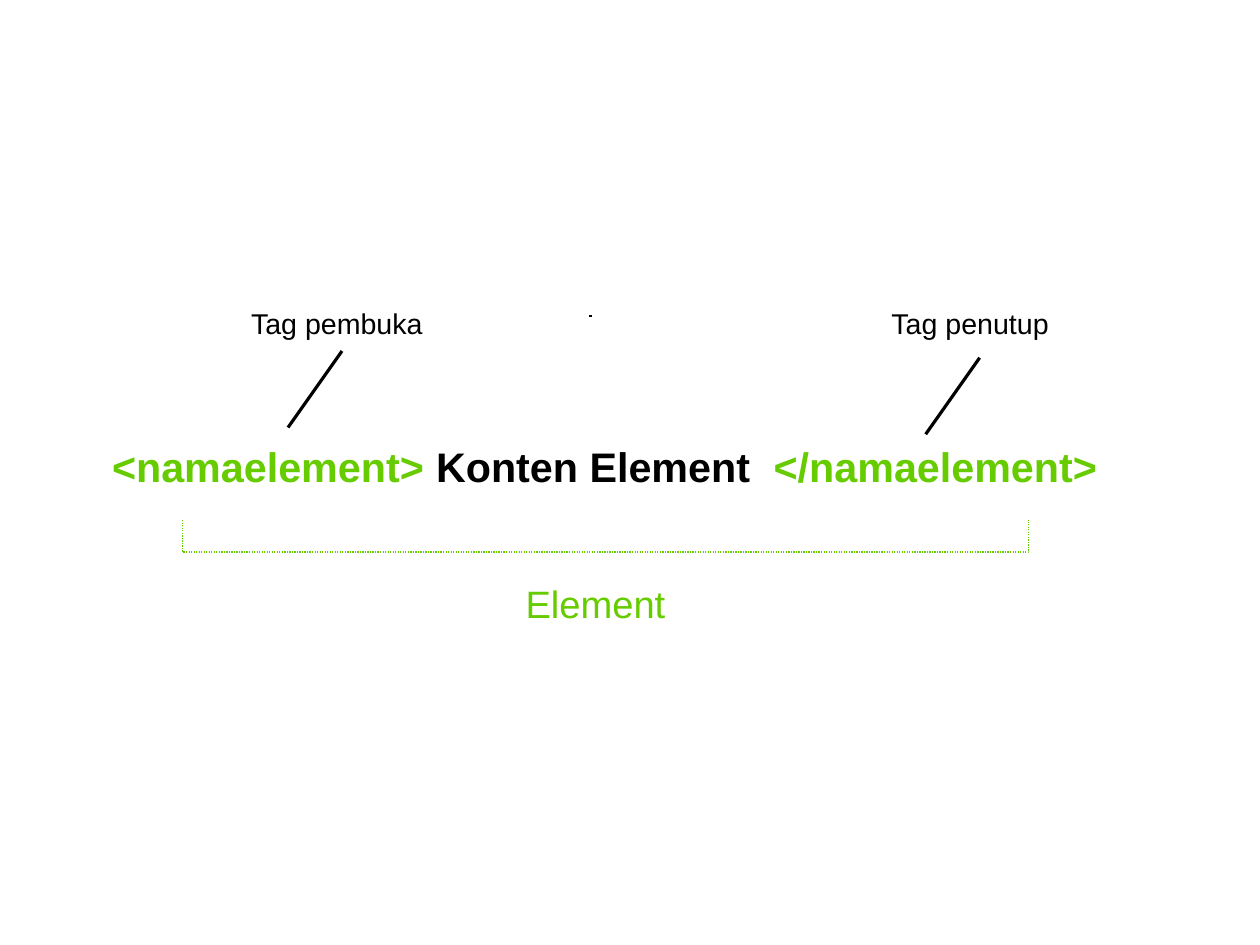
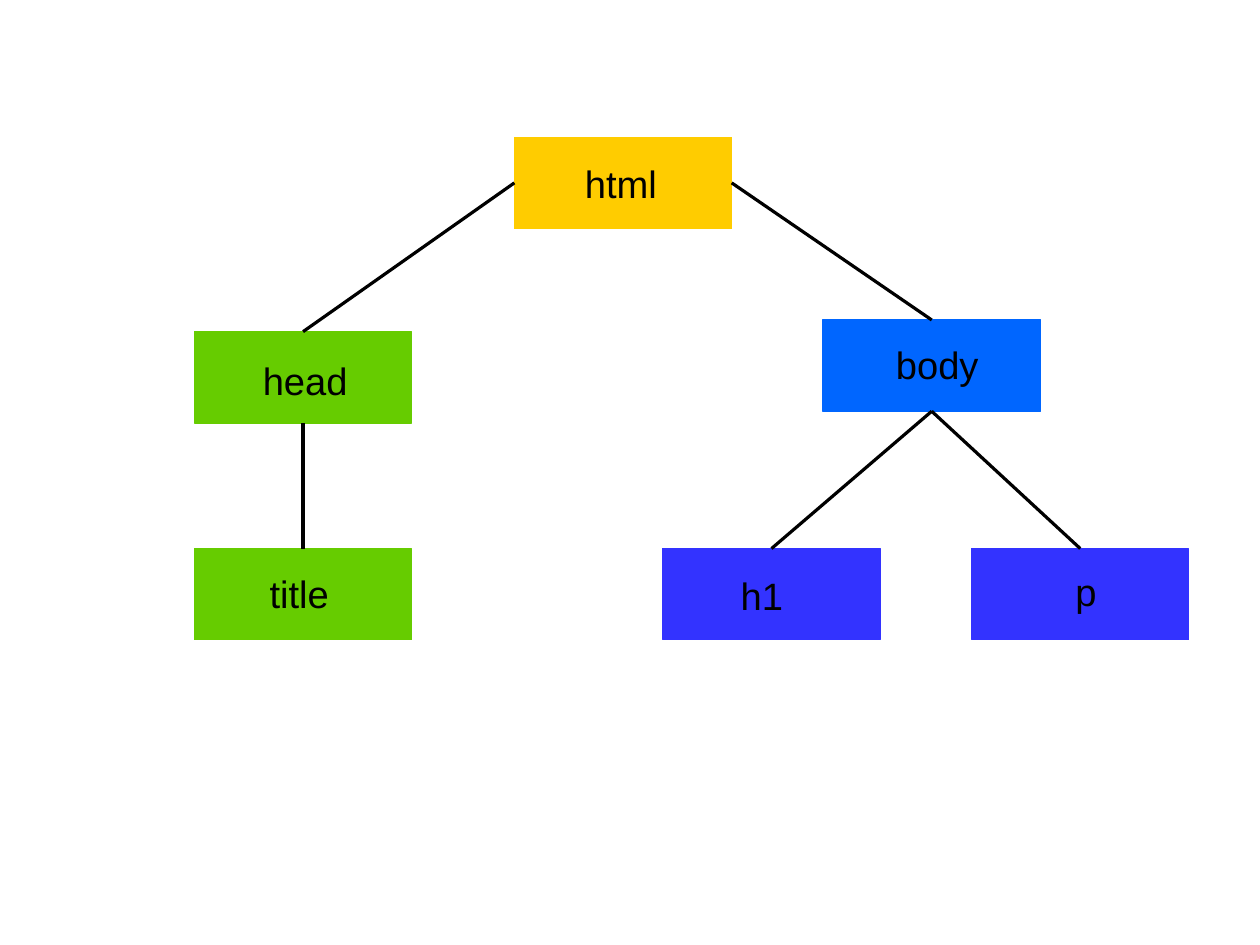
from pptx import Presentation
from pptx.dml.color import RGBColor
from pptx.enum.dml import MSO_LINE
from pptx.enum.shapes import MSO_CONNECTOR, MSO_SHAPE
from pptx.enum.text import MSO_ANCHOR
from pptx.oxml.ns import qn
from pptx.util import Cm, Pt
from lxml.etree import SubElement

BLACK = RGBColor(0x00, 0x00, 0x00)
GREEN = RGBColor(0x66, 0xCC, 0x00)
YELLOW = RGBColor(0xFF, 0xCC, 0x00)
BLUE = RGBColor(0x00, 0x66, 0xFF)
INDIGO = RGBColor(0x33, 0x33, 0xFF)

NODE_W, NODE_H = 4.83, 2.03
TOP, LEFT, BOTTOM, RIGHT = range(4)

# name: left, top, colour, label offset in x and y
NODES = {
    "html": (11.43, 3.05, YELLOW, 1.32, 0.4),
    "head": (4.32, 7.37, GREEN, 1.27, 0.45),
    "title": (4.32, 12.19, GREEN, 1.42, 0.36),
    "body": (18.29, 7.11, BLUE, 1.37, 0.36),
    "h1": (14.73, 12.19, INDIGO, 1.48, 0.41),
    "p": (21.59, 12.19, INDIGO, 2.06, 0.31),
}
EDGES = [
    ("html", LEFT, "head"),
    ("head", BOTTOM, "title"),
    ("html", RIGHT, "body"),
    ("body", BOTTOM, "p"),
    ("body", BOTTOM, "h1"),
]


class Deck:
    """Holds the presentation, its text style and the current slide."""

    font = {"name": "Arial", "size": Pt(24), "bold": False}

    def __init__(self):
        self.prs = Presentation()
        self.prs.slide_width, self.prs.slide_height = Cm(28), Cm(21)

    def new_slide(self):
        self.shapes = self.prs.slides.add_slide(self.prs.slide_layouts[6]).shapes

    def text(self, x, y, w, h, runs, inset=True, **style):
        """Add a text box; runs is a list of (text, colour) pairs."""
        tf = self.shapes.add_textbox(Cm(x), Cm(y), Cm(w), Cm(h)).text_frame
        tf.word_wrap = True
        if not inset:
            tf.vertical_anchor = MSO_ANCHOR.MIDDLE
            for side in ("left", "top", "right", "bottom"):
                setattr(tf, f"margin_{side}", 0)
        for content, colour in runs:
            r = tf.paragraphs[0].add_run()
            r.text = content
            for key, value in {**self.font, **style}.items():
                setattr(r.font, key, value)
            r.font.color.rgb = colour

    def line(self, x1=0, y1=0, x2=0, y2=0):
        cxn = self.shapes.add_connector(
            MSO_CONNECTOR.STRAIGHT, Cm(x1), Cm(y1), Cm(x2), Cm(y2))
        cxn.line.color.rgb = BLACK
        cxn.line.width = Pt(0)
        SubElement(cxn._element.spPr, qn("a:effectLst"))
        return cxn

    def link(self, parent, site, child):
        cxn = self.line()
        cxn.begin_connect(parent, site)
        cxn.end_connect(child, TOP)

    def node(self, x, y, colour):
        sp = self.shapes.add_shape(
            MSO_SHAPE.FLOWCHART_PROCESS, Cm(x), Cm(y), Cm(NODE_W), Cm(NODE_H))
        sp.shadow.inherit = False
        sp.fill.solid()
        sp.fill.fore_color.rgb = sp.line.color.rgb = colour
        sp.line.width = Pt(0)
        return sp

    def bracket(self, left, top, right, bottom):
        builder = self.shapes.build_freeform(Cm(left), Cm(top))
        corners = [(left, bottom), (right, bottom), (right, top)]
        builder.add_line_segments([(Cm(x), Cm(y)) for x, y in corners], close=False)
        sp = builder.convert_to_shape()
        sp.shadow.inherit = False
        sp.fill.background()
        sp.line.color.rgb = GREEN
        sp.line.width = Pt(0.79)
        sp.line.dash_style = MSO_LINE.ROUND_DOT


def element_slide(deck):
    deck.new_slide()
    deck.text(2.49, 9.73, 25.2, 1.27, [
        ("<namaelement> ", GREEN),
        ("Konten Element ", BLACK),
        (" </namaelement>", GREEN),
    ], inset=False, size=Pt(26), bold=True)
    deck.line(13.13, 7.01, 13.13, 7.04)
    for name, x, line_x, line_y in [("Tag pembuka", 5.33, 6.4, 9.5),
                                    ("Tag penutup", 19.56, 20.57, 9.65)]:
        deck.line(line_x, line_y, line_x + 1.2, line_y - 1.7)
        deck.text(x, 6.68, 4.57, 0.97, [(name, BLACK)], size=Pt(18))
    deck.bracket(4.06, 11.56, 22.86, 12.27)
    deck.text(11.43, 12.78, 4, 1.2, [("Element", GREEN)])


def tree_slide(deck):
    deck.new_slide()
    boxes = {name: deck.node(x, y, colour)
             for name, (x, y, colour, _, _) in NODES.items()}
    for parent, site, child in EDGES:
        deck.link(boxes[parent], site, boxes[child])
    for name, (x, y, _, dx, dy) in NODES.items():
        deck.text(x + dx, y + dy, 2.7, 1.27, [(name, BLACK)])


def main():
    deck = Deck()
    element_slide(deck)
    tree_slide(deck)
    deck.prs.save("out.pptx")


if __name__ == "__main__":
    main()
